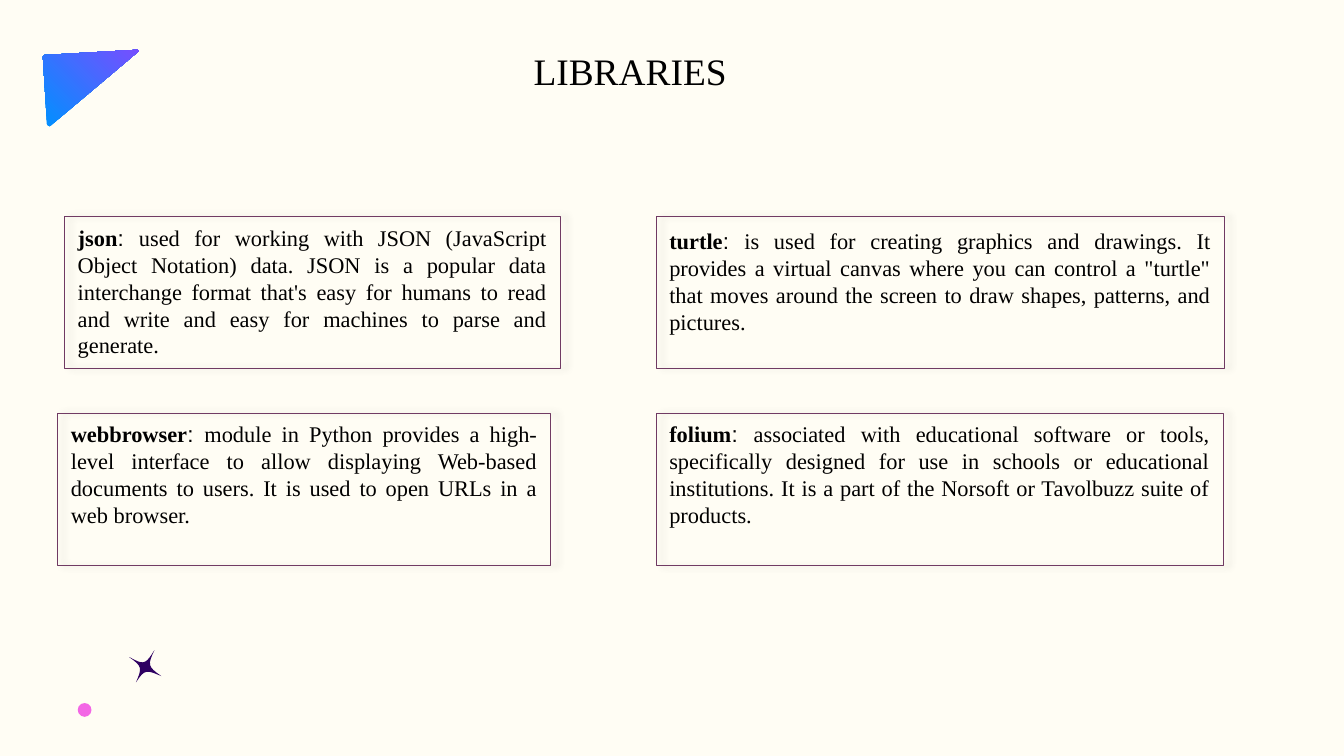
from dataclasses import dataclass

from lxml import etree
from pptx import Presentation
from pptx.dml.color import RGBColor as Rgb
from pptx.enum.shapes import MSO_SHAPE as Preset
from pptx.enum.text import MSO_ANCHOR as Anchor, MSO_AUTO_SIZE as AutoSize, PP_ALIGN as Align
from pptx.oxml.ns import qn
from pptx.util import Cm, Pt


@dataclass(frozen=True)
class Theme:
    paper: str = "FFFDF4"
    ink: str = "000000"
    frame: str = "703A63"
    pink: str = "F367E5"
    violet: str = "2F0162"
    gradient: tuple = ("0091FF", "774EFF")
    serif: str = "Times New Roman"
    sans: str = "Arial"
    title_size: int = 20
    body_size: int = 12
    frame_width: float = 0.25


def color(code):
    return Rgb.from_string(code)


def curve(start, *segments, steps=8):
    """Points along a chain of cubic Bezier segments."""
    points = [start]
    for a, b, end in segments:
        first = points[-1]
        for step in range(1, steps + 1):
            t = step / steps
            u = 1 - t
            points.append(tuple(
                u**3 * p + 3 * u * u * t * q + 3 * u * t * t * r + t**3 * s
                for p, q, r, s in zip(first, a, b, end)))
    return points


class SlideBuilder:
    def __init__(self, deck, theme):
        self.theme = theme
        self.slide = deck.slides.add_slide(deck.slide_layouts[5])
        background = self.slide.background.fill
        background.solid()
        background.fore_color.rgb = color(theme.paper)

    def style(self, font, size):
        font.size = Pt(size)
        font.color.rgb = color(self.theme.ink)

    def title(self, words, left, top, width, height):
        heading = self.slide.shapes.title
        heading.left, heading.top, heading.width, heading.height = map(
            Cm, (left, top, width, height))
        frame = heading.text_frame
        frame.text = words
        frame.vertical_anchor = Anchor.TOP
        frame.auto_size = AutoSize.SHAPE_TO_FIT_TEXT
        line = frame.paragraphs[0]
        line.alignment = Align.LEFT
        self.style(line.font, self.theme.title_size)
        line.font.name = self.theme.serif

    def polygon(self, points):
        start, *rest = [(Cm(x), Cm(y)) for x, y in points]
        builder = self.slide.shapes.build_freeform(*start)
        builder.add_line_segments(rest, close=True)
        outline = builder.convert_to_shape()
        outline.line.fill.background()
        outline.shadow.inherit = False
        return outline

    def gradient_polygon(self, points):
        fill = self.polygon(points).fill
        fill.gradient()
        fill.gradient_angle = 45
        for stop, code in zip(fill.gradient_stops, self.theme.gradient):
            stop.color.rgb = color(code)

    def solid_polygon(self, points, code):
        fill = self.polygon(points).fill
        fill.solid()
        fill.fore_color.rgb = color(code)

    def dot(self, left, top, size, code):
        circle = self.slide.shapes.add_shape(
            Preset.OVAL, Cm(left), Cm(top), Cm(size), Cm(size))
        circle.fill.solid()
        circle.fill.fore_color.rgb = color(code)
        circle.line.fill.background()
        circle.shadow.inherit = False

    def soft_shadow(self, shape):
        shape.shadow.inherit = False
        effects = shape._element.spPr.find(qn("a:effectLst"))
        shadow = etree.SubElement(effects, qn("a:outerShdw"), blurRad=str(Pt(4)),
                                  dist=str(Pt(3)), dir="0", rotWithShape="0")
        tint = etree.SubElement(shadow, qn("a:srgbClr"), val=self.theme.ink)
        etree.SubElement(tint, qn("a:alpha"), val="40000")

    def card(self, name, description, left, top, width, height, text_drop, text_height):
        """A description grouped with its shadowed frame."""
        group = self.slide.shapes.add_group_shape()
        box = group.shapes.add_textbox(
            Cm(left), Cm(top + text_drop), Cm(width), Cm(text_height))
        box.text_frame.word_wrap = True
        box.text_frame.auto_size = AutoSize.SHAPE_TO_FIT_TEXT
        entry = box.text_frame.paragraphs[0]
        entry.alignment = Align.JUSTIFY
        self.style(entry.font, self.theme.body_size)
        for words, face, bold in ((name, self.theme.serif, True),
                                  (": ", self.theme.sans, False),
                                  (description, self.theme.serif, False)):
            part = entry.add_run()
            part.text = words
            self.style(part.font, self.theme.body_size)
            part.font.name, part.font.bold = face, bold

        border = group.shapes.add_shape(
            Preset.RECTANGLE, Cm(left), Cm(top), Cm(width), Cm(height))
        border.fill.background()
        border.line.color.rgb = color(self.theme.frame)
        border.line.width = Pt(self.theme.frame_width)
        self.soft_shadow(border)


# Card positions in cm
UPPER, LOWER, RIGHT = 4.09, 7.82, 12.4
CARD_HEIGHT = 2.87

# name, description, left, top, width, text drop, text height
LIBRARIES = [
    ("folium", "associated with educational software or tools, specifically designed "
     "for use in schools or educational institutions. It is a part of the Norsoft or "
     "Tavolbuzz suite of products.", RIGHT, LOWER, 10.72, 0, 2.31),
    ("json", "used for working with JSON (JavaScript Object Notation) data. JSON is a "
     "popular data interchange format that's easy for humans to read and write and "
     "easy for machines to parse and generate.", 1.22, UPPER, 9.37, 0.02, 2.82),
    ("webbrowser", "module in Python provides a high-level interface to allow "
     "displaying Web-based documents to users. It is used to open URLs in a web "
     "browser.", 1.09, LOWER, 9.32, 0, 2.31),
    ("turtle", "is used for creating graphics and drawings. It provides a virtual "
     "canvas where you can control a \"turtle\" that moves around the screen to draw "
     "shapes, patterns, and pictures.", RIGHT, UPPER, 10.74, 0.08, 2.31),
]

TRIANGLE = [(0.81, 1.07), (0.84, 1.04), (2.62, 0.94),
            (2.62, 0.97), (0.94, 2.39), (0.89, 2.36)]
SPARKLE = curve(
    (2.92, 12.29),
    ((2.82, 12.45), (2.77, 12.52), (2.69, 12.52)),
    ((2.62, 12.52), (2.54, 12.47), (2.44, 12.42)),
    ((2.69, 12.6), (2.69, 12.62), (2.57, 12.9)),
    ((2.67, 12.75), (2.72, 12.7), (2.79, 12.7)),
    ((2.87, 12.7), (2.92, 12.73), (3.05, 12.78)),
    ((2.79, 12.6), (2.79, 12.57), (2.92, 12.29)),
)


def main():
    deck = Presentation()
    deck.slide_width, deck.slide_height = Cm(25.4), Cm(14.29)
    theme = Theme()
    page = SlideBuilder(deck, theme)

    # Decoration
    page.gradient_polygon(TRIANGLE)
    page.dot(1.47, 13.29, 0.26, theme.pink)
    page.solid_polygon(SPARKLE, theme.violet)

    # Heading and library cards
    page.title("LIBRARIES", 9.83, 0.79, 8.71, 1.12)
    for name, description, left, top, width, drop, text_height in LIBRARIES:
        page.card(name, description, left, top, width, CARD_HEIGHT, drop, text_height)

    deck.save("out.pptx")


if __name__ == "__main__":
    main()
